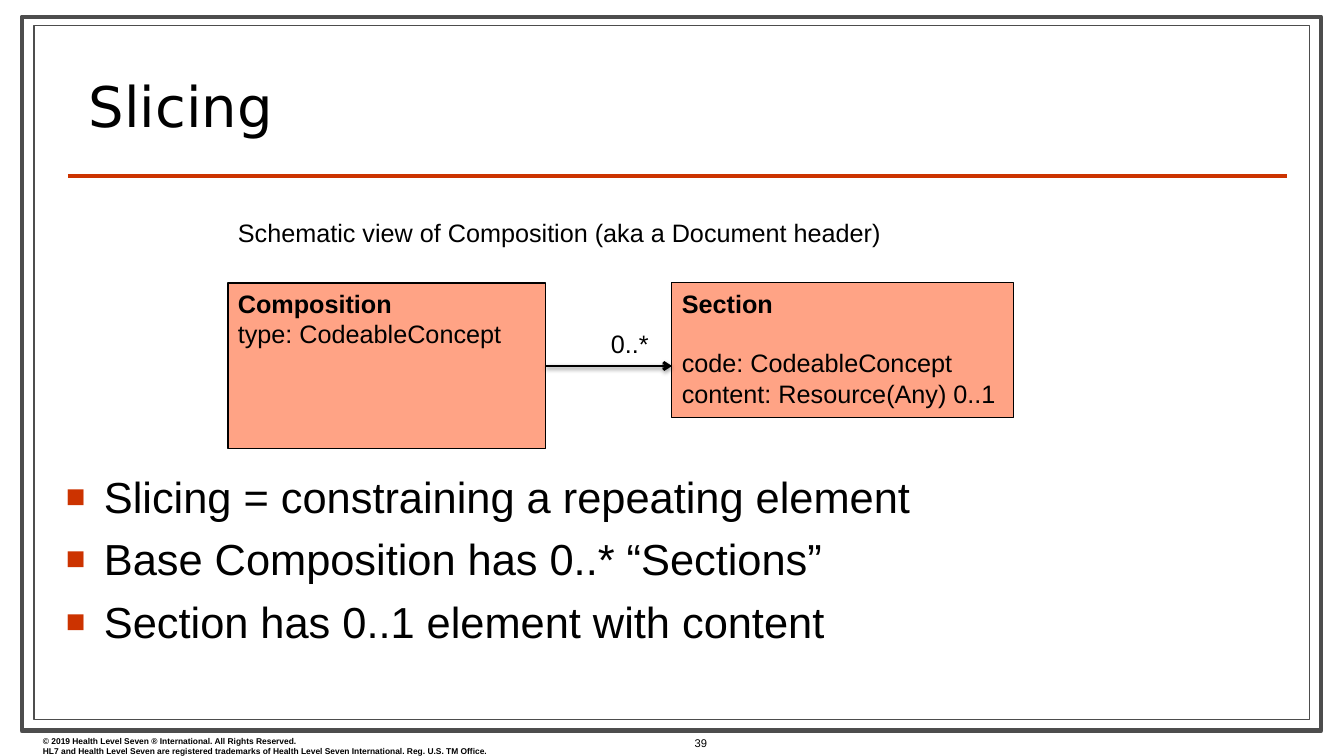
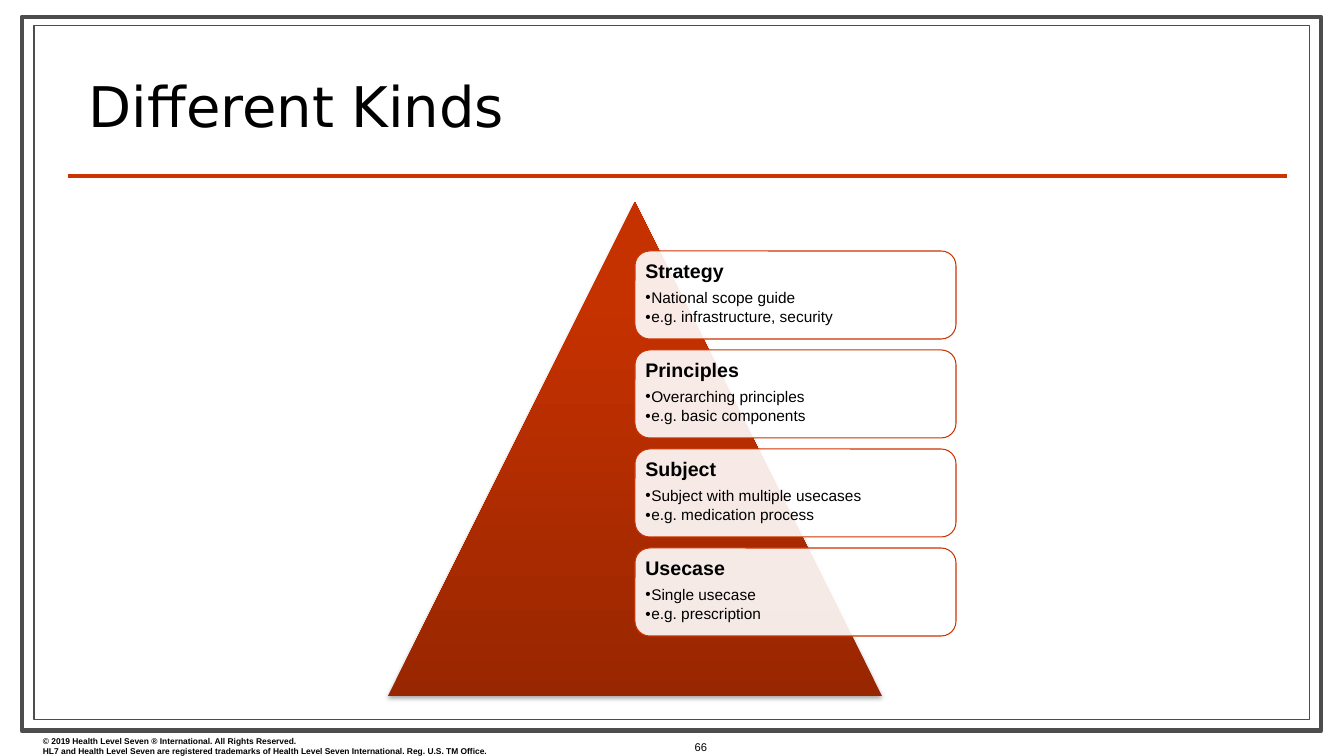
from copy import deepcopy

from lxml.etree import SubElement
from pptx import Presentation
from pptx.dml.color import RGBColor
from pptx.enum.shapes import MSO_CONNECTOR, MSO_SHAPE
from pptx.enum.text import MSO_ANCHOR, PP_ALIGN
from pptx.oxml.ns import qn
from pptx.util import Emu, Pt

PAGE_WIDTH, PAGE_HEIGHT = 1344, 756
EMU_PER_PX = 12192000 / PAGE_WIDTH

BLACK = RGBColor(0x00, 0x00, 0x00)
WHITE = RGBColor(0xFF, 0xFF, 0xFF)
GREY = RGBColor(0x4D, 0x4D, 0x4D)
RED = RGBColor(0xCC, 0x33, 0x00)
SALMON = RGBColor(0xFF, 0xA3, 0x85)
PYRAMID_STOPS = [
    (0, RGBColor(0x98, 0x26, 0x00)),
    (0.8, RGBColor(0xC6, 0x31, 0x00)),
    (1, RGBColor(0xC7, 0x32, 0x00)),
]

FONTS = {
    "title": {"name": "DejaVu Sans", "size": Pt(40)},
    "body": {"size": Pt(31)},
    "label": {"size": Pt(18)},
    "class name": {"size": Pt(18), "bold": True},
    "card heading": {"size": Pt(14), "bold": True},
    "card item": {"size": Pt(11)},
    "page number": {"size": Pt(8)},
    "copyright": {"size": Pt(6), "bold": True},
}
PARAGRAPHS = {
    "title": {"line_spacing": 0.8},
    "body": {"space_before": Pt(7.5)},
    "card heading": {"line_spacing": 0.9, "space_after": Pt(5.5)},
    "card item": {"level": 1, "line_spacing": 0.9, "space_after": Pt(2)},
    "page number": {"alignment": PP_ALIGN.RIGHT},
}
# Bullet sign, hanging indent in px, colour and size in percent
BULLETS = {
    "body": ("■", 38, RED, 75),
    "card item": ("•", 6, BLACK, 100),
}

COPYRIGHT = [
    "© 2019 Health Level Seven ® International. All Rights Reserved.",
    "HL7 and Health Level Seven are registered trademarks of Health Level Seven"
    " International. Reg. U.S. TM Office.",
]
CARDS = [
    ("Strategy", "National scope guide", "e.g. infrastructure, security"),
    ("Principles", "Overarching principles", "e.g. basic components"),
    ("Subject", "Subject with multiple usecases", "e.g. medication process"),
    ("Usecase", "Single usecase", "e.g. prescription"),
]


def px(length):
    return Emu(round(length * EMU_PER_PX))


def set_all(target, values):
    for name, value in values.items():
        setattr(target, name, value)


def styled(style, *texts):
    return [(text, style) for text in texts]


class Deck:
    """Holds the presentation, its shared style and the current page."""

    def __init__(self):
        self.deck = Presentation()
        self.deck.slide_width = px(PAGE_WIDTH)
        self.deck.slide_height = px(PAGE_HEIGHT)
        self.page = None

    def add_page(self, title, number, number_area):
        self.page = self.deck.slides.add_slide(self.deck.slide_layouts[6])
        self.add_box((22, 17, 1299, 714), WHITE, GREY, 3.5)
        self.add_box((34, 26, 1276, 694), WHITE, GREY)
        self.add_line((68, 176), (1287, 176), RED, 3)
        self.add_text((33, 731, 649, 30), styled("copyright", *COPYRIGHT))
        self.add_text((79, 52, 1199, 91), styled("title", title), MSO_ANCHOR.BOTTOM)
        self.add_text(number_area, styled("page number", number), MSO_ANCHOR.MIDDLE)

    def add_bullet(self, para, style):
        sign, indent, colour, percent = BULLETS[style]
        properties = para._p.get_or_add_pPr()
        properties.set("marL", str(px(indent)))
        properties.set("indent", str(-px(indent)))
        bullet_colour = SubElement(properties, qn("a:buClr"))
        SubElement(bullet_colour, qn("a:srgbClr"), val=str(colour))
        SubElement(properties, qn("a:buSzPct"), val=str(percent * 1000))
        SubElement(properties, qn("a:buFont"), typeface="Arial")
        SubElement(properties, qn("a:buChar"), char=sign)

    def fill_frame(self, frame, lines):
        """Fill a text frame with (text, style) or (text, style, space before) lines."""
        for index, (text, style, *gap) in enumerate(lines):
            para = frame.paragraphs[0] if index == 0 else frame.add_paragraph()
            if style in BULLETS:
                self.add_bullet(para, style)
            set_all(para, {"alignment": PP_ALIGN.LEFT, **PARAGRAPHS.get(style, {})})
            if gap:
                para.space_before = Pt(gap[0])
            if index == 0:
                para.space_before = Pt(0)
            span = para.add_run()
            span.text = text
            span.font.color.rgb = BLACK
            set_all(span.font, {"name": "Arial", "bold": False, **FONTS[style]})

    def add_text(self, area, lines, anchor=MSO_ANCHOR.TOP, wrap=True):
        frame = self.page.shapes.add_textbox(*map(px, area)).text_frame
        set_all(frame, {"word_wrap": wrap, "vertical_anchor": anchor})
        self.fill_frame(frame, lines)

    def set_shadow(self, shape, shadow=None):
        """Replace the theme shadow; shadow is (opacity percent, distance in points)."""
        effects = SubElement(shape._element.spPr, qn("a:effectLst"))
        if shadow:
            opacity, distance = shadow
            outer = SubElement(
                effects, qn("a:outerShdw"), blurRad=str(Pt(3.1)),
                dist=str(Pt(distance)), dir="5400000", rotWithShape="0",
            )
            colour = SubElement(outer, qn("a:srgbClr"), val=str(BLACK))
            SubElement(colour, qn("a:alpha"), val=str(opacity * 1000))

    def add_box(self, area, fill, line, width=0.75, lines=(), kind=MSO_SHAPE.RECTANGLE):
        box = self.page.shapes.add_shape(kind, *map(px, area))
        box.fill.solid()
        box.fill.fore_color.rgb = fill
        box.line.color.rgb = line
        box.line.width = Pt(width)
        self.set_shadow(box)
        set_all(box.text_frame, {"word_wrap": True, "vertical_anchor": MSO_ANCHOR.TOP})
        self.fill_frame(box.text_frame, lines)
        return box

    def add_line(self, start, end, colour, width, shadow=None):
        line = self.page.shapes.add_connector(
            MSO_CONNECTOR.STRAIGHT, *map(px, start + end)
        )
        line.line.color.rgb = colour
        line.line.width = Pt(width)
        self.set_shadow(line, shadow)
        return line

    def add_arrow(self, source, end):
        """Draw an arrow from the middle of the right side of source."""
        arrow = self.add_line(end, end, BLACK, 2, (38, 1.6))
        arrow.begin_connect(source, 3)
        outline = arrow._element.spPr.find(qn("a:ln"))
        SubElement(outline, qn("a:tailEnd"), type="arrow")

    def add_pyramid(self, area):
        pyramid = self.page.shapes.add_shape(
            MSO_SHAPE.ISOSCELES_TRIANGLE, *map(px, area)
        )
        fill = pyramid.fill
        fill.gradient()
        fill.gradient_angle = 90
        stop_list = pyramid._element.spPr.find(".//" + qn("a:gsLst"))
        stop_list.append(deepcopy(stop_list[-1]))
        for stop, (position, colour) in zip(fill.gradient_stops, PYRAMID_STOPS):
            stop.position = position
            stop.color.rgb = colour
        pyramid.line.fill.background()
        self.set_shadow(pyramid, (35, 1.8))

    def add_card(self, area, heading, *items):
        lines = styled("card heading", heading) + styled("card item", *items)
        card = self.add_box(
            area, WHITE, RED, lines=lines, kind=MSO_SHAPE.ROUNDED_RECTANGLE
        )
        sides = ("left", "top", "right", "bottom")
        set_all(card.text_frame, {f"margin_{side}": px(6) for side in sides})
        colour = card._element.spPr.find(qn("a:solidFill"))[0]
        SubElement(colour, qn("a:alpha"), val="90000")


def build_slicing(deck):
    deck.add_page("Slicing", "39", (638, 731, 79, 25))
    deck.add_text((56, 465, 1232, 227), styled(
        "body",
        "Slicing = constraining a repeating element",
        "Base Composition has 0..* “Sections”",
        "Section has 0..1 element with content",
    ))
    composition = deck.add_box((228, 283, 318, 166), SALMON, BLACK, lines=[
        ("Composition", "class name"),
        ("type: CodeableConcept", "label"),
    ])
    deck.add_box((672, 283, 342, 135), SALMON, BLACK, lines=[
        ("Section", "class name"),
        ("code: CodeableConcept", "label", 21),
        ("content: Resource(Any) 0..1", "label"),
    ])
    deck.add_arrow(composition, (672, 366))
    deck.add_text((601, 323, 58, 40), styled("label", "0..*"), wrap=False)
    deck.add_text((228, 212, 762, 40), styled(
        "label", "Schematic view of Composition (aka a Document header)"
    ))


def build_kinds(deck):
    deck.add_page("Different Kinds", "66", (638, 721, 79, 52))
    deck.add_pyramid((388, 202, 494, 494))
    card_height, gap = 88, 11
    for index, card in enumerate(CARDS):
        top = 251 + index * (card_height + gap)
        deck.add_card((635, top, 321, card_height), *card)


def main():
    deck = Deck()
    build_slicing(deck)
    build_kinds(deck)
    deck.deck.save("out.pptx")


if __name__ == "__main__":
    main()
